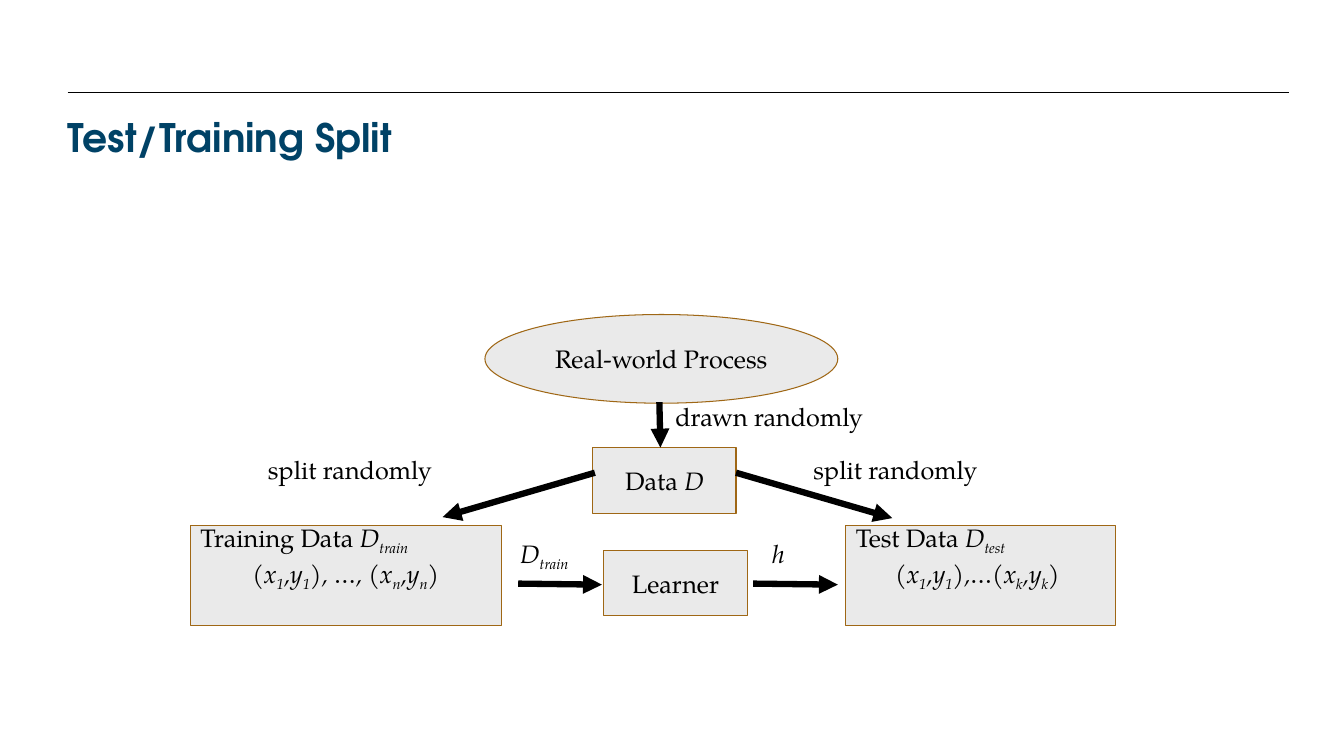
from dataclasses import dataclass

from lxml.etree import SubElement
from pptx import Presentation
from pptx.dml.color import RGBColor
from pptx.enum.shapes import MSO_CONNECTOR, MSO_SHAPE
from pptx.enum.text import MSO_ANCHOR, MSO_AUTO_SIZE, PP_ALIGN
from pptx.oxml.ns import qn
from pptx.util import Inches, Pt


@dataclass(frozen=True)
class Theme:
    ink: RGBColor = RGBColor(0x00, 0x00, 0x00)
    title: RGBColor = RGBColor(0x00, 0x42, 0x66)
    node_fill: RGBColor = RGBColor(0xEA, 0xEA, 0xEA)
    node_line: RGBColor = RGBColor(0x9F, 0x67, 0x15)
    body_font: str = "TeX Gyre Pagella"
    title_font: str = "TeX Gyre Adventor"
    body_size: int = 18
    title_size: int = 28
    thin: float = 0.75
    thick: float = 4.5


THEME = Theme()


def plain(text):
    return [(text, False, False)]


def math(markup):
    """Italic runs; the pieces between underscores become subscripts."""
    return [(piece, True, index % 2 == 1)
            for index, piece in enumerate(markup.split("_")) if piece]


def write(paragraph, runs):
    for text, italic, subscript in runs:
        run = paragraph.add_run()
        run.text = text
        run.font.name = THEME.body_font
        run.font.size = Pt(THEME.body_size)
        run.font.color.rgb = THEME.ink
        run.font.italic = italic
        if subscript:
            run.font._element.set("baseline", "-25000")


def add_node(slide, preset, left, top, width, height, runs):
    node = slide.shapes.add_shape(
        preset, Inches(left), Inches(top), Inches(width), Inches(height))
    node.shadow.inherit = False
    node.fill.solid()
    node.fill.fore_color.rgb = THEME.node_fill
    node.line.color.rgb = THEME.node_line
    node.line.width = Pt(THEME.thin)
    frame = node.text_frame
    frame.word_wrap = False
    frame.vertical_anchor = MSO_ANCHOR.MIDDLE
    frame.paragraphs[0].alignment = PP_ALIGN.CENTER
    write(frame.paragraphs[0], runs)


def add_label(slide, left, top, width, runs):
    label = slide.shapes.add_textbox(
        Inches(left), Inches(top), Inches(width), Inches(0.4))
    label.text_frame.word_wrap = False
    label.text_frame.auto_size = MSO_AUTO_SIZE.SHAPE_TO_FIT_TEXT
    write(label.text_frame.paragraphs[0], runs)


def add_line(slide, start, end, width):
    line = slide.shapes.add_connector(
        MSO_CONNECTOR.STRAIGHT, *(Inches(value) for value in (*start, *end)))
    line.line.color.rgb = THEME.ink
    line.line.width = Pt(width)
    SubElement(line._element.spPr, qn("a:effectLst"))
    return line


def add_arrow(slide, start, end):
    arrow = add_line(slide, start, end, THEME.thick)
    SubElement(arrow.line._get_or_add_ln(), qn("a:tailEnd"), type="triangle")


def add_title(slide, text):
    title = slide.shapes.add_textbox(
        Inches(0.67), Inches(1.12), Inches(12), Inches(0.47))
    frame = title.text_frame
    frame.word_wrap = True
    frame.vertical_anchor = MSO_ANCHOR.MIDDLE
    frame.margin_left = frame.margin_right = 0
    frame.margin_top = frame.margin_bottom = 0
    run = frame.paragraphs[0].add_run()
    run.text = text
    run.font.name = THEME.title_font
    run.font.size = Pt(THEME.title_size)
    run.font.bold = True
    run.font.color.rgb = THEME.title


def main():
    deck = Presentation()
    deck.slide_width, deck.slide_height = Inches(13.33), Inches(7.5)
    slide = deck.slides.add_slide(deck.slide_layouts[6])

    add_line(slide, (0.67, 0.92), (12.78, 0.92), THEME.thin)
    add_title(slide, "Test/Training Split")

    box = MSO_SHAPE.RECTANGLE
    nodes = [
        (MSO_SHAPE.OVAL, 4.81, 3.12, 3.5, 0.88, plain("Real-world Process")),
        (box, 1.89, 5.21, 3.08, 1, math("(x_1_,y_1_), …, (x_n_,y_n_)")),
        (box, 5.99, 5.46, 1.42, 0.65, plain("Learner")),
        (box, 8.39, 5.21, 2.67, 1, math("(x_1_,y_1_),…(x_k_,y_k_) ")),
        (box, 5.88, 4.44, 1.42, 0.65, plain("Data ") + math("D")),
    ]
    for node in nodes:
        add_node(slide, *node)

    arrows = [
        ((6.54, 3.99), (6.55, 4.44)),
        ((5.9, 4.69), (4.39, 5.13)),
        ((7.3, 4.69), (8.85, 5.14)),
        ((5.14, 5.79), (5.97, 5.8)),
        ((7.47, 5.79), (8.31, 5.8)),
    ]
    for start, end in arrows:
        add_arrow(slide, start, end)

    labels = [
        (1.89, 5.13, 2.34, plain("Training Data ") + math("D_train")),
        (8.39, 5.13, 1.78, plain("Test Data ") + math("D_test")),
        (2.56, 4.46, 1.86, plain("split randomly")),
        (7.97, 4.46, 1.86, plain("split randomly")),
        (6.6, 3.93, 2.11, plain("drawn randomly")),
        (5.06, 5.29, 0.73, math("D_train")),
        (7.56, 5.29, 0.33, math("h")),
    ]
    for label in labels:
        add_label(slide, *label)

    deck.save("out.pptx")


if __name__ == "__main__":
    main()
